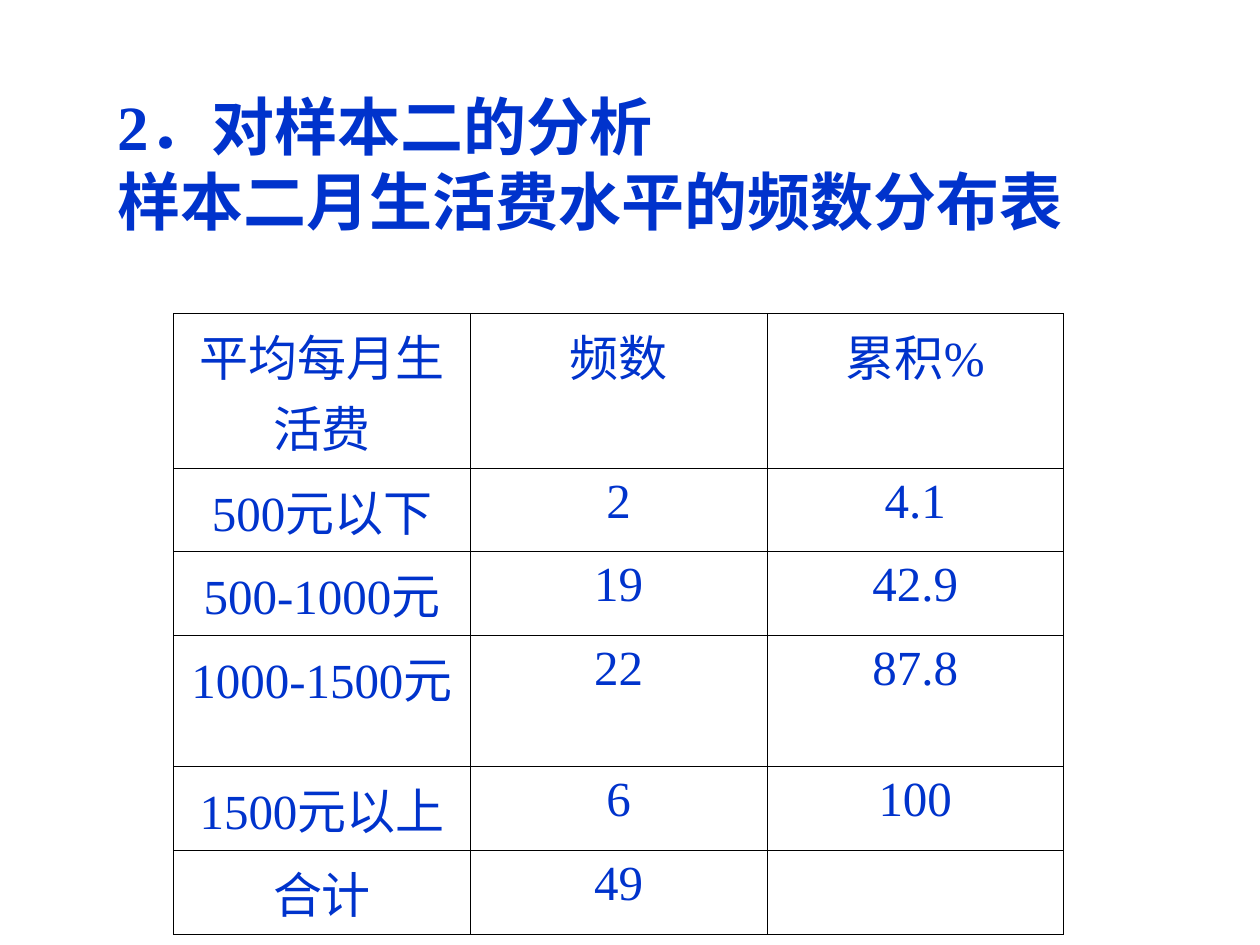
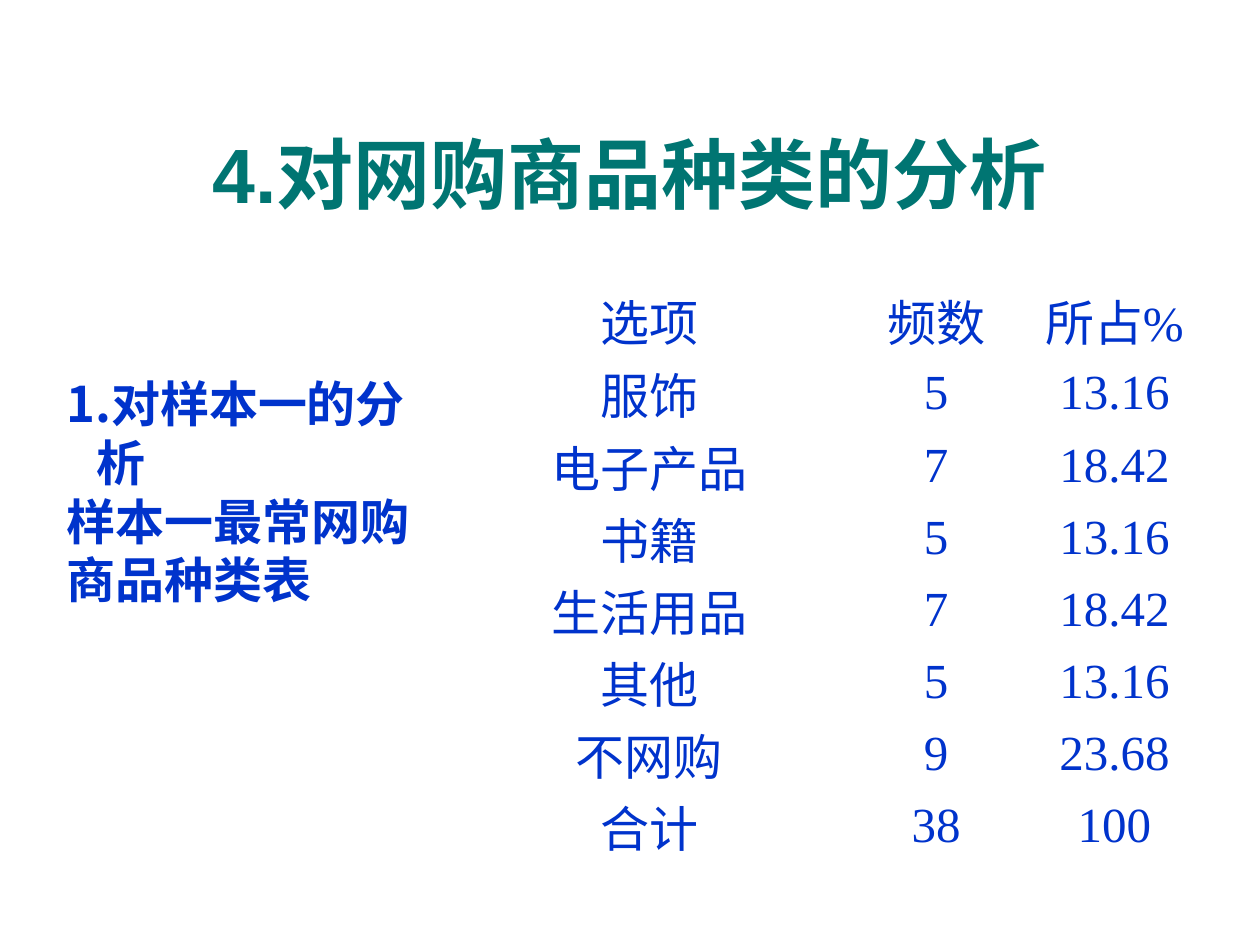
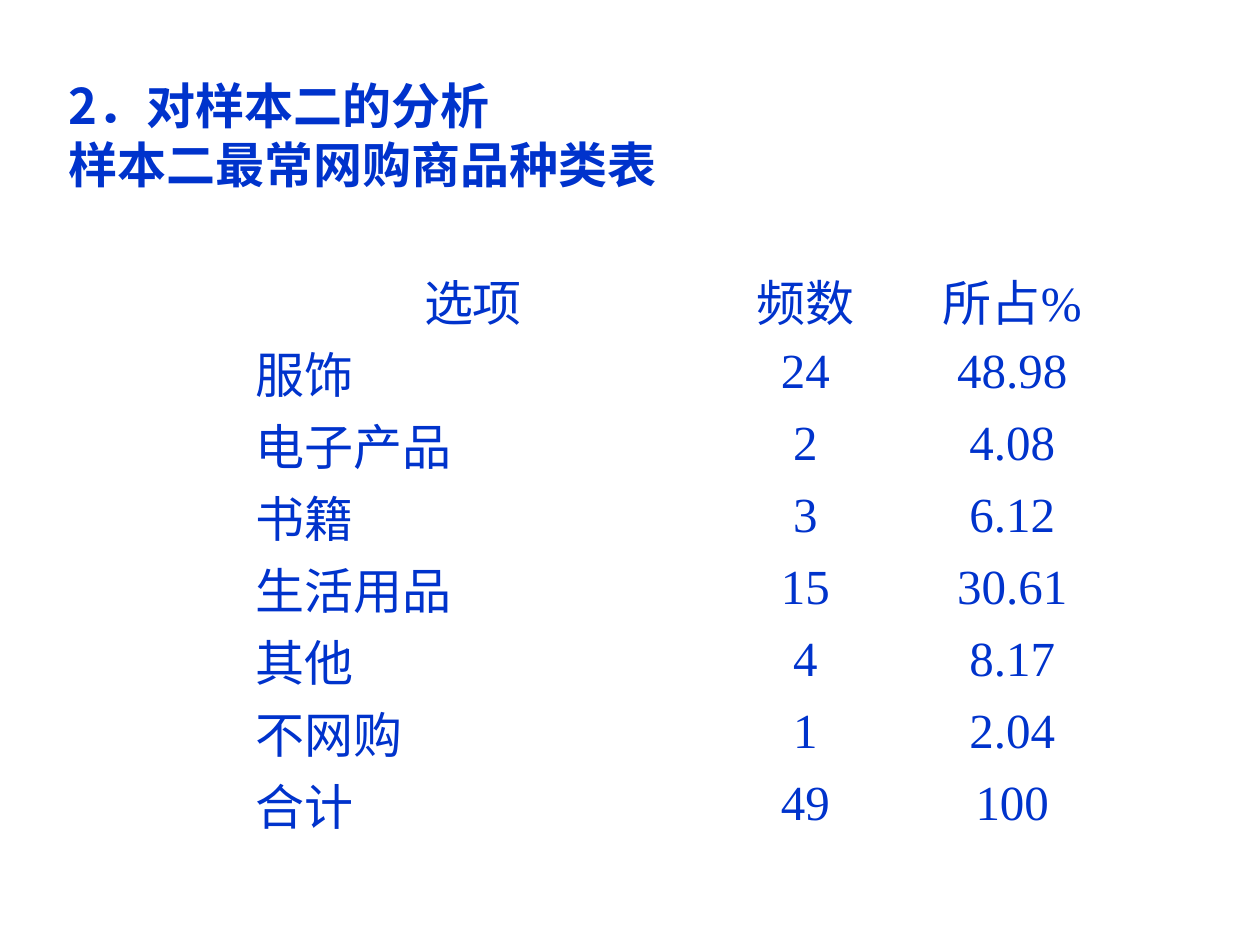
from lxml import etree
from pptx import Presentation
from pptx.dml.color import RGBColor
from pptx.enum.text import MSO_ANCHOR, MSO_AUTO_SIZE, PP_ALIGN
from pptx.oxml.ns import qn
from pptx.util import Cm, Pt

LEFT, CENTER = PP_ALIGN.LEFT, PP_ALIGN.CENTER
TOP, MIDDLE = MSO_ANCHOR.TOP, MSO_ANCHOR.MIDDLE
NO_AUTOFIT = MSO_AUTO_SIZE.NONE

# Shared style
BLUE, TEAL, BLACK = "0033CC", "007572", "000000"
SERIF, SANS, CJK = "Times New Roman", "Arial", "Noto Sans CJK SC"
CELL_SIZE = 28
LINE_FACTOR = 1.2
SIDE_INSET, EDGE_INSET = 0.25, 0.13
ROW = 1.45
TITLE_AND_BODY, TITLE_ONLY = 1, 5


def rgb(value):
    return RGBColor.from_string(value)


def write(frame, lines, size=CELL_SIZE, font=SERIF, color=BLUE, bold=False,
          align=LEFT, spacing=None, numbered=0, hang=0.61):
    """Fill a text frame; the first `numbered` lines get automatic numbers."""
    for i, line in enumerate(lines):
        paragraph = frame.paragraphs[0] if i == 0 else frame.add_paragraph()
        paragraph.alignment = align
        paragraph.space_before = Pt(0)
        if spacing:
            paragraph.line_spacing = Pt(spacing)
        props = paragraph._p.get_or_add_pPr()
        indent = Cm(hang) if i < numbered else 0
        props.set("marL", str(indent))
        props.set("indent", str(-indent))
        if i < numbered:
            etree.SubElement(props, qn("a:buFont"), typeface=CJK)
            etree.SubElement(props, qn("a:buAutoNum"), type="arabicPeriod")
        else:
            etree.SubElement(props, qn("a:buNone"))
        run = paragraph.add_run()
        run.text = line
        run.font.size = Pt(size)
        run.font.bold = bold
        run.font.name = font
        run.font.color.rgb = rgb(color)
        etree.SubElement(run._r.get_or_add_rPr(), qn("a:ea"), typeface=CJK)


def place(holder, box, anchor=TOP, top_inset=EDGE_INSET):
    """Move a placeholder to its box and return its text frame."""
    holder.left, holder.top, holder.width, holder.height = map(Cm, box)
    frame = holder.text_frame
    frame.word_wrap = True
    frame.auto_size = NO_AUTOFIT
    frame.vertical_anchor = anchor
    frame.margin_left = frame.margin_right = Cm(SIDE_INSET)
    frame.margin_top, frame.margin_bottom = Cm(top_inset), Cm(EDGE_INSET)
    return frame


def add_heading(holder, box, lines, size, top_inset, **style):
    """Bold lines with an even pitch, set from the top of the box."""
    frame = place(holder, box, top_inset=top_inset)
    write(frame, lines, size=size, bold=True,
          spacing=round(size * LINE_FACTOR, 1), **style)


def set_borders(cell, color, width):
    props = cell._tc.get_or_add_tcPr()
    for i, side in enumerate(("lnL", "lnR", "lnT", "lnB")):
        line = etree.Element(qn(f"a:{side}"), w=str(Pt(width)))
        if color:
            solid = etree.SubElement(line, qn("a:solidFill"))
            etree.SubElement(solid, qn("a:srgbClr"), val=color)
        else:
            etree.SubElement(line, qn("a:noFill"))
        props.insert(i, line)


def add_frequency_table(slide, origin, widths, heights, rows, anchor=MIDDLE,
                        edge_inset=0, border=None, label_align=CENTER):
    left, top = origin
    table = slide.shapes.add_table(
        len(rows), len(widths), Cm(left), Cm(top),
        Cm(sum(widths)), Cm(sum(heights))).table
    table.first_row = table.horz_banding = False
    for column, width in zip(table.columns, widths):
        column.width = Cm(width)
    for r, (values, height) in enumerate(zip(rows, heights)):
        table.rows[r].height = Cm(height)
        for c, value in enumerate(values):
            cell = table.cell(r, c)
            cell.fill.background()
            set_borders(cell, border, 0.45)
            cell.vertical_anchor = anchor
            cell.margin_left = cell.margin_right = Cm(SIDE_INSET)
            cell.margin_top = cell.margin_bottom = Cm(edge_inset)
            if value:
                is_label = r > 0 and c == 0
                write(cell.text_frame, [value],
                      align=label_align if is_label else CENTER)


def new_slide(deck, layout):
    return deck.slides.add_slide(deck.slide_layouts[layout])


# Monthly living costs of sample two
def living_cost_slide(deck):
    slide = new_slide(deck, TITLE_ONLY)
    add_heading(slide.shapes.title, (2.11, 1.47, 20, 3.3),
                ["2．对样本二的分析", "样本二月生活费水平的频数分布表"],
                size=36, top_inset=0.29)
    tall = 2.64
    add_frequency_table(
        slide, (3.5, 6.32), [5.98] * 3, [tall, ROW, ROW, tall, ROW, ROW],
        [("平均每月生活费", "频数", "累积%"),
         ("500元以下", "2", "4.1"),
         ("500-1000元", "19", "42.9"),
         ("1000-1500元", "22", "87.8"),
         ("1500元以上", "6", "100"),
         ("合计", "49", "")],
        anchor=TOP, edge_inset=EDGE_INSET, border=BLACK)


GOODS = ("服饰", "电子产品", "书籍", "生活用品", "其他", "不网购", "合计")


def goods_rows(counts, shares):
    return [("选项", "频数", "所占%"), *zip(GOODS, counts, shares)]


# Goods bought online by sample one
def sample_one_goods_slide(deck):
    slide = new_slide(deck, TITLE_AND_BODY)
    title = place(slide.shapes.title, (0.84, 1.9, 23.72, 3.18), anchor=MIDDLE)
    write(title, ["4.对网购商品种类的分析"], size=44, font=SANS, color=TEAL,
          bold=True, align=CENTER)
    add_heading(slide.placeholders[1], (1.09, 7.32, 7.6, 6.2),
                ["对样本一的分析", "样本一最常网购商品种类表"],
                size=28, top_inset=0.21, font=CJK, numbered=1)
    add_frequency_table(
        slide, (9.09, 5.72), [8, 3.56, 3.63], [ROW, 1.5] + [ROW] * 6,
        goods_rows(("5", "7", "5", "7", "5", "9", "38"),
                   ("13.16", "18.42", "13.16", "18.42", "13.16", "23.68",
                    "100")))


# Goods bought online by sample two
def sample_two_goods_slide(deck):
    slide = new_slide(deck, TITLE_ONLY)
    add_heading(slide.shapes.title, (1.14, 1.32, 12.6, 3.81),
                ["2．对样本二的分析", "样本二最常网购商品种类表"],
                size=28, top_inset=0.21, font=CJK)
    add_frequency_table(
        slide, (4.9, 5.33), [9.27, 4.13, 4.21], [ROW] * 8,
        goods_rows(("24", "2", "3", "15", "4", "1", "49"),
                   ("48.98", "4.08", "6.12", "30.61", "8.17", "2.04", "100")),
        label_align=LEFT)


def main():
    deck = Presentation()
    deck.slide_width, deck.slide_height = Cm(25.4), Cm(19.05)
    living_cost_slide(deck)
    sample_one_goods_slide(deck)
    sample_two_goods_slide(deck)
    deck.save("out.pptx")


if __name__ == "__main__":
    main()
